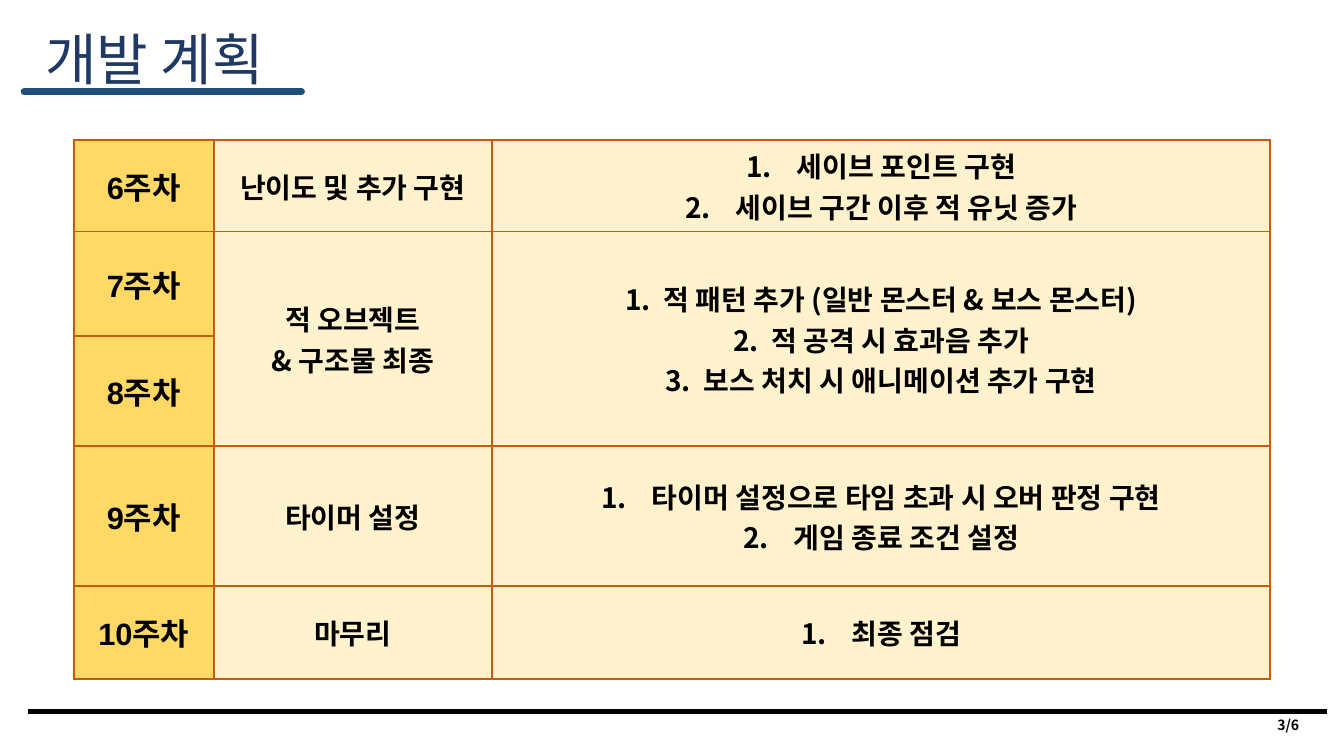
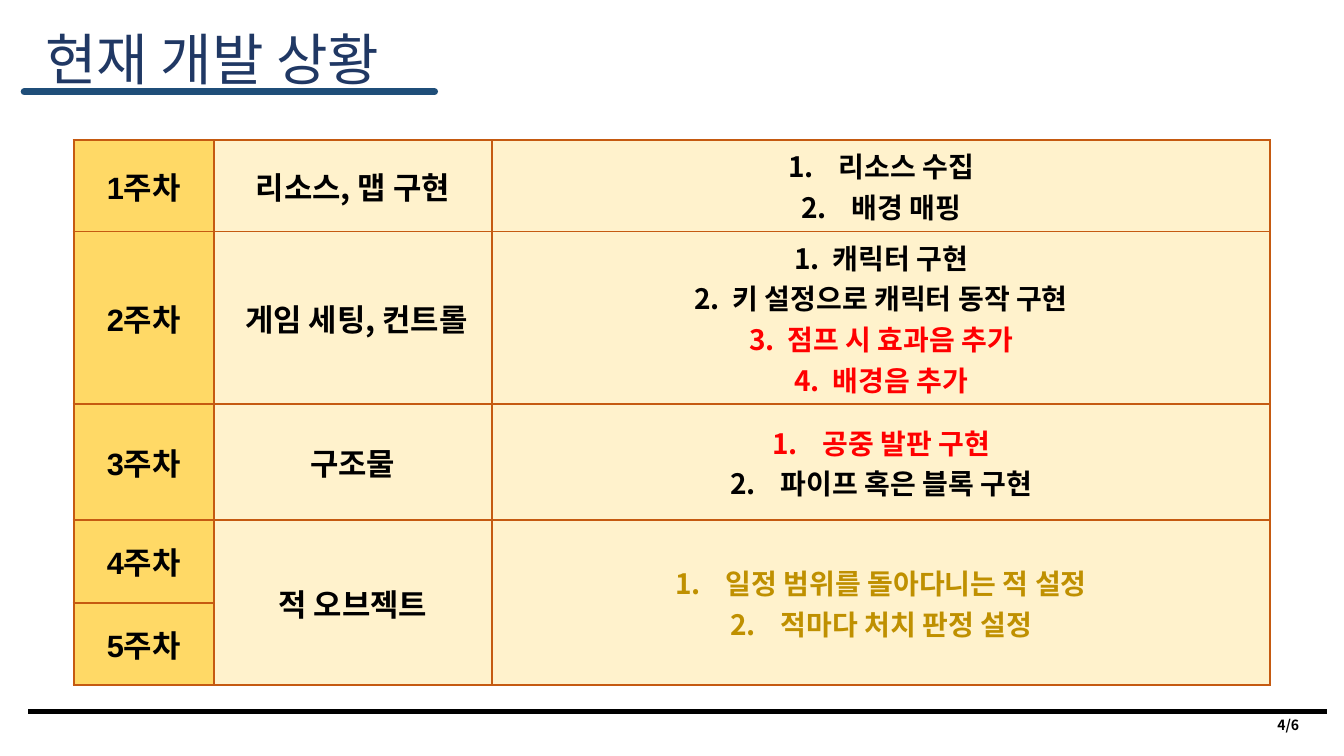
from lxml.etree import SubElement
from pptx import Presentation
from pptx.dml.color import RGBColor
from pptx.enum.shapes import MSO_CONNECTOR as Connector
from pptx.enum.text import MSO_ANCHOR as Anchor, MSO_AUTO_SIZE as AutoSize, PP_ALIGN as Align
from pptx.oxml.ns import qn
from pptx.util import Inches, Pt

NAVY = RGBColor(0x20, 0x38, 0x64)
BLUE = RGBColor(0x1F, 0x4E, 0x79)
BLACK = RGBColor(0, 0, 0)
RED = RGBColor(0xFF, 0, 0)
GOLD = RGBColor(0xBF, 0x90, 0)
AMBER = RGBColor(0xFF, 0xD9, 0x66)
CREAM = RGBColor(0xFF, 0xF2, 0xCC)
ORANGE = RGBColor(0xC5, 0x5A, 0x11)
LATIN, KOREAN = "Arial", "Noto Sans CJK KR"

WIDE, NARROW = 0.5, 0.38  # number indents
PAGE_COUNT = 6
COLUMN_WIDTHS = (1.39, 2.76, 7.72)

# Row: height, week, topic lines, task lines, number indent.
# No topic means that the row above continues.
SLIDES = [
    {
        "page": 3, "title": "개발 계획", "title_width": 2.64, "topic_size": 20,
        "rows": [
            (0.76, "6주차", ["난이도 및 추가 구현"],
             ["세이브 포인트 구현", "세이브 구간 이후 적 유닛 증가"], WIDE),
            (1.04, "7주차", [" 적 오브젝트 ", "& 구조물 최종"],
             ["적 패턴 추가 (일반 몬스터 & 보스 몬스터)", "적 공격 시 효과음 추가",
              "보스 처치 시 애니메이션 추가 구현"], NARROW),
            (1.09, "8주차", None, None, None),
            (1.39, "9주차", ["타이머 설정"],
             ["타이머 설정으로 타임 초과 시 오버 판정 구현", "게임 종료 조건 설정"], WIDE),
            (0.92, "10주차", ["마무리"], ["최종 점검"], WIDE),
        ],
    },
    {
        "page": 4, "title": "현재 개발 상황", "title_width": 3.96, "topic_size": 22,
        "rows": [
            (0.74, "1주차", ["리소스, 맵 구현"], ["리소스 수집", "배경 매핑"], WIDE),
            (1.64, "2주차", [" 게임 세팅, 컨트롤"],
             ["캐릭터 구현", "키 설정으로 캐릭터 동작 구현",
              ("점프 시 효과음 추가", RED), ("배경음 추가", RED)], NARROW),
            (1.15, "3주차", ["구조물"],
             [("공중 발판 구현", RED), "파이프 혹은 블록 구현"], WIDE),
            (0.82, "4주차", ["적 오브젝트"],
             [("일정 범위를 돌아다니는 적 설정", GOLD), ("적마다 처치 판정 설정", GOLD)], WIDE),
            (0.82, "5주차", None, None, None),
        ],
    },
]


def write(frame, lines, size, font=KOREAN, color=BLACK, bold=True,
          align=Align.CENTER, indent=None):
    """Fill a text frame; a line is a string or a (string, colour) pair."""
    for index, line in enumerate(lines):
        text, line_color = (line, color) if isinstance(line, str) else line
        para = frame.paragraphs[0] if index == 0 else frame.add_paragraph()
        para.alignment = align
        if indent:
            number(para, indent)
        span = para.add_run()
        span.text = text
        span.font.size = Pt(size)
        span.font.bold = bold
        span.font.name = font
        span.font.color.rgb = line_color
        SubElement(span._r.get_or_add_rPr(), qn("a:ea"), typeface=KOREAN)


def number(para, indent):
    """Number a paragraph with a hanging indent."""
    props = para._p.get_or_add_pPr()
    props.set("marL", str(Inches(indent)))
    props.set("indent", str(-Inches(indent)))
    SubElement(props, qn("a:buFont"), typeface=KOREAN)
    SubElement(props, qn("a:buAutoNum"), type="arabicPeriod")


def add_rule(page, left, right, top, color, weight, cap="flat"):
    """Draw a horizontal line without a shadow."""
    rule = page.shapes.add_connector(
        Connector.STRAIGHT, Inches(left), Inches(top), Inches(right), Inches(top))
    rule.line.color.rgb = color
    rule.line.width = Pt(weight)
    rule.line._get_or_add_ln().set("cap", cap)
    SubElement(rule._element.spPr, qn("a:effectLst"))


def style_cell(cell, fill):
    """Give a cell its borders, fill and anchor."""
    props = cell._tc.get_or_add_tcPr()
    for side in ("lnL", "lnR", "lnT", "lnB"):
        border = SubElement(props, qn(f"a:{side}"), w=str(Pt(1.5)))
        paint = SubElement(border, qn("a:solidFill"))
        SubElement(paint, qn("a:srgbClr"), val=str(ORANGE))
    cell.fill.solid()
    cell.fill.fore_color.rgb = fill
    cell.vertical_anchor = Anchor.MIDDLE


def add_schedule(page, rows, topic_size):
    """Build the table of weeks, topics and tasks."""
    table = page.shapes.add_table(
        len(rows), len(COLUMN_WIDTHS), Inches(0.73), Inches(1.39),
        Inches(sum(COLUMN_WIDTHS)), Inches(sum(row[0] for row in rows))).table
    table.first_row = table.horz_banding = False
    for column, width in zip(table.columns, COLUMN_WIDTHS):
        column.width = Inches(width)
    for index, (height, week, topic, tasks, indent) in enumerate(rows):
        table.rows[index].height = Inches(height)
        cells = [table.cell(index, column) for column in range(len(COLUMN_WIDTHS))]
        for cell, fill in zip(cells, (AMBER, CREAM, CREAM)):
            style_cell(cell, fill)
        write(cells[0].text_frame, [week], 22, font=LATIN)
        if topic:
            write(cells[1].text_frame, topic, topic_size)
            write(cells[2].text_frame, tasks, 20, indent=indent)
        else:
            for column in (1, 2):
                table.cell(index - 1, column).merge(cells[column])


def add_title(page, title, width):
    """Place the title and its underline."""
    box = page.shapes.title
    box.left, box.top = Inches(0.35), Inches(0.19)
    box.width, box.height = Inches(width), Inches(0.77)
    frame = box.text_frame
    frame.auto_size = AutoSize.NONE
    frame.word_wrap = False
    frame.vertical_anchor = Anchor.MIDDLE
    write(frame, [title], 40, font=LATIN, color=NAVY, bold=False, align=Align.LEFT)
    add_rule(page, 0.24, 0.35 + width, 0.91, BLUE, 5, cap="rnd")


def add_footer(page, page_number):
    """Draw the bottom rule and the page count."""
    add_rule(page, 0.28, 13.16, 7.06, BLACK, 3.5)
    box = page.shapes.add_textbox(Inches(12.57), Inches(7.06), Inches(0.42), Inches(0.27))
    box.text_frame.word_wrap = False
    write(box.text_frame, [f"{page_number}/{PAGE_COUNT}"], 10, align=Align.LEFT)


deck = Presentation()
deck.slide_width, deck.slide_height = Inches(13.33), Inches(7.5)
for content in SLIDES:
    page = deck.slides.add_slide(deck.slide_layouts.get_by_name("Title Only"))
    add_schedule(page, content["rows"], content["topic_size"])
    add_title(page, content["title"], content["title_width"])
    add_footer(page, content["page"])
deck.save("out.pptx")
